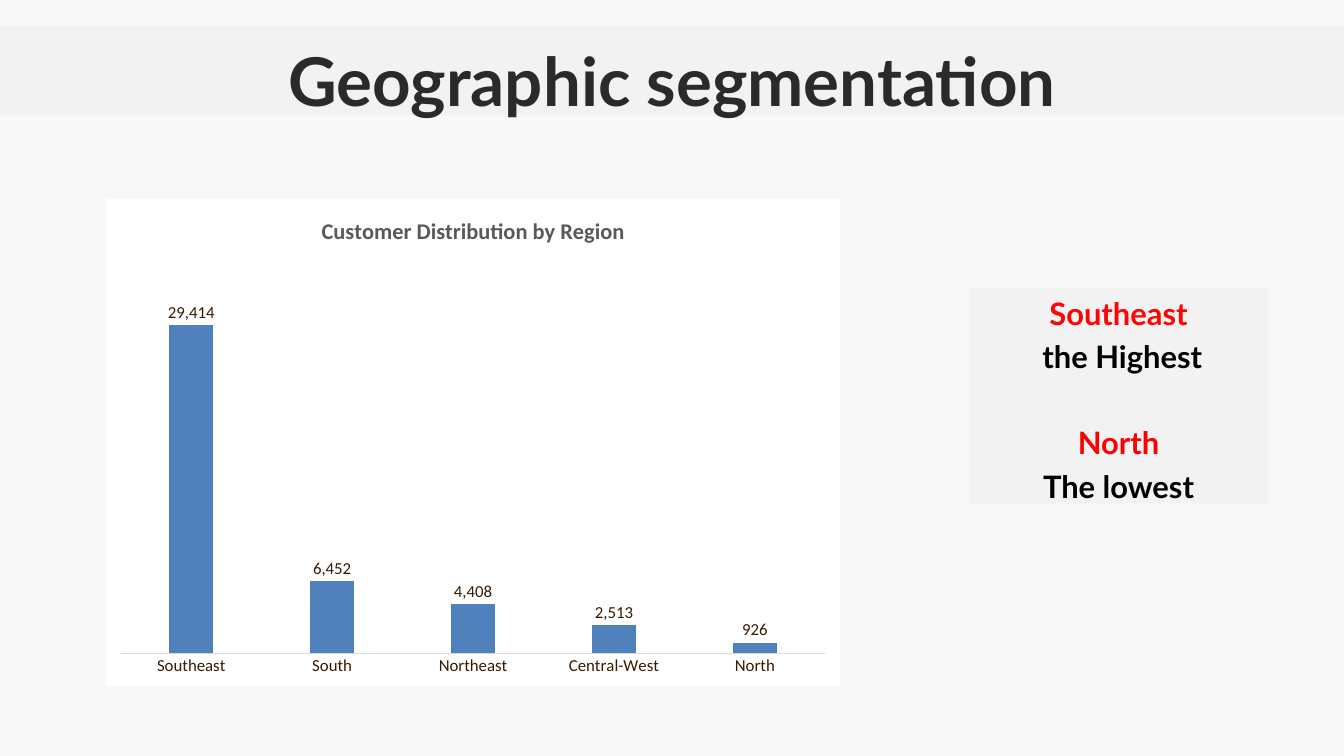
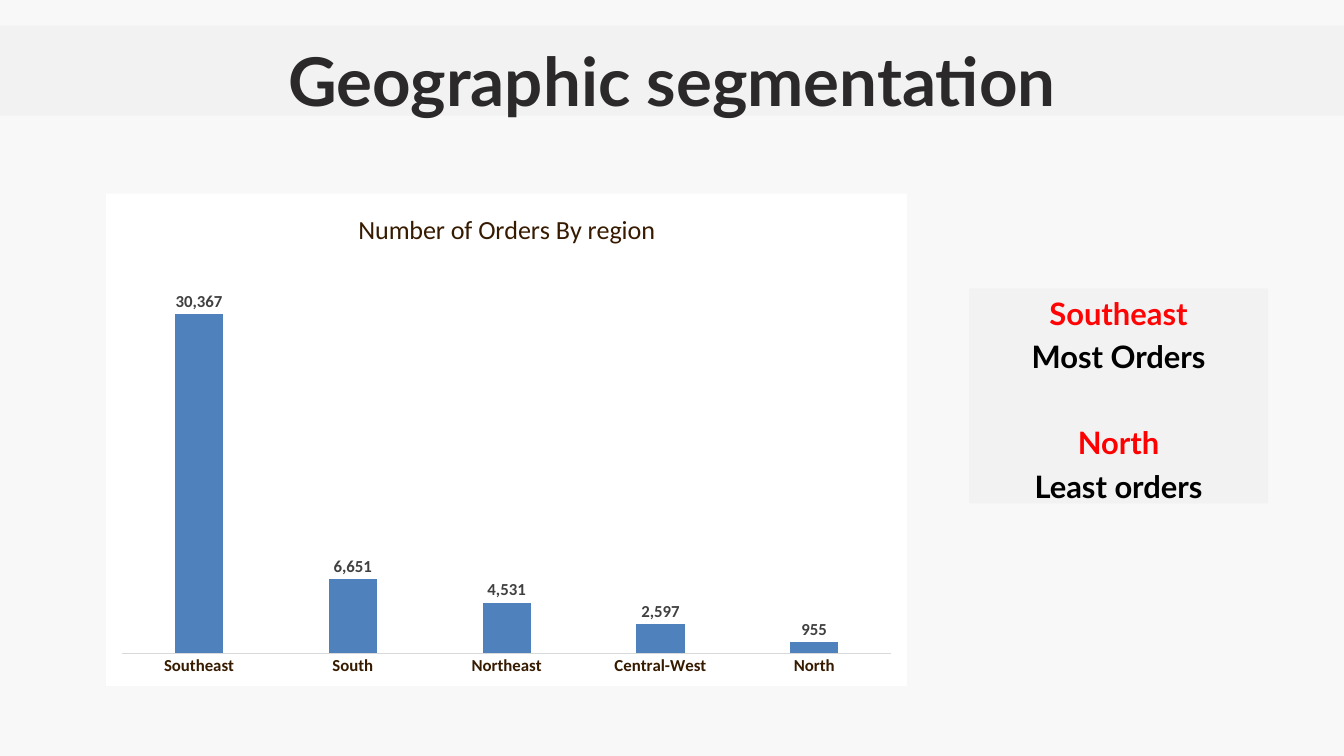
from dataclasses import dataclass

from lxml import etree
from pptx import Presentation
from pptx.chart.data import CategoryChartData
from pptx.dml.color import RGBColor
from pptx.enum.chart import XL_CHART_TYPE as ChartType
from pptx.enum.chart import XL_LABEL_POSITION as LabelPos
from pptx.enum.chart import XL_TICK_LABEL_POSITION as TickLabelPos
from pptx.enum.chart import XL_TICK_MARK as TickMark
from pptx.enum.shapes import MSO_SHAPE as Shape
from pptx.enum.text import MSO_ANCHOR as Anchor
from pptx.enum.text import PP_ALIGN as Align
from pptx.oxml.ns import qn
from pptx.util import Inches, Pt

# Shared style
PAGE, BAND, WHITE = "F8F8F8", "F2F2F2", "FFFFFF"
INK, BLACK, BROWN, GREY = "2B2929", "000000", "361B00", "404040"
BAR, AXIS = "4F81BD", "D9D9D9"
TEXT_FONT, CHART_FONT = "Lato", "Calibri"
TITLE = "Geographic segmentation"
REGIONS = ("Southeast", "South", "Northeast", "Central-West", "North")

# Both charts share a left edge, a bottom edge and the height of the bars
CHART_LEFT, CHART_BOTTOM = 1.58, 10.21
PLOT_TOP, PLOT_BOTTOM = 3.91, 9.72
PLOT_X, PLOT_W = 0.02, 0.96
AXIS_MAX = 35000


@dataclass
class Line:
    text: str
    color: str
    size: float
    leading: float
    before: float = 0


@dataclass
class Style:
    size: float
    color: str
    bold: bool = False


@dataclass
class RegionSlide:
    chart_title: str
    title_style: Style
    category_style: Style
    label_style: Style
    values: tuple[int, ...]
    top: float
    width: float
    highest: str
    lowest: str
    highest_color: str = "FF0404"
    lowest_color: str = "FF0000"


SLIDES = (
    RegionSlide(
        "Customer Distribution by Region",
        Style(24, "595959", True), Style(18, BROWN), Style(18, BROWN),
        (29414, 6452, 4408, 2513, 926),
        2.96, 10.92, " the Highest", "The lowest",
    ),
    RegionSlide(
        "Number of Orders By region",
        Style(28, BROWN), Style(18, BROWN, True), Style(18, GREY, True),
        (30367, 6651, 4531, 2597, 955),
        2.88, 11.92, "Most Orders", "Least orders",
    ),
)


def rgb(color: str) -> RGBColor:
    return RGBColor.from_string(color)


def fill(target, color: str) -> None:
    target.fill.solid()
    target.fill.fore_color.rgb = rgb(color)


def set_font(font, name: str, style: Style) -> None:
    font.name = name
    font.size = Pt(style.size)
    font.bold = style.bold
    font.color.rgb = rgb(style.color)


def add_panel(s, left: float, top: float, width: float, height: float,
              lines: list[Line]) -> None:
    """Draw a flat grey panel with centred bold lines."""
    sp = s.shapes.add_shape(Shape.RECTANGLE, Inches(left), Inches(top),
                            Inches(width), Inches(height))
    sp.shadow.inherit = False
    fill(sp, BAND)
    sp.line.fill.background()
    tf = sp.text_frame
    tf.word_wrap = True
    tf.vertical_anchor = Anchor.TOP
    tf.margin_left = tf.margin_right = tf.margin_top = tf.margin_bottom = 0
    for i, line in enumerate(lines):
        p = tf.add_paragraph() if i else tf.paragraphs[0]
        p.alignment = Align.CENTER
        p.line_spacing = Pt(line.leading)
        p.space_before = Pt(line.before)
        r = p.add_run()
        r.text = line.text
        set_font(r.font, TEXT_FONT, Style(line.size, line.color, True))


def fix_plot_area(chart, top: float, height: float) -> None:
    """Pin the inner plot area, given as fractions of the chart."""
    plot_area = chart.plots[0]._element.getparent()
    for old in plot_area.findall(qn("c:layout")):
        plot_area.remove(old)
    layout = etree.Element(qn("c:layout"))
    manual = etree.SubElement(layout, qn("c:manualLayout"))
    settings = (
        ("layoutTarget", "inner"), ("xMode", "edge"), ("yMode", "edge"),
        ("x", PLOT_X), ("y", (PLOT_TOP - top) / height),
        ("w", PLOT_W), ("h", (PLOT_BOTTOM - PLOT_TOP) / height),
    )
    for tag, value in settings:
        etree.SubElement(manual, qn(f"c:{tag}")).set("val", str(value))
    plot_area.insert(0, layout)


def fill_chart_area(chart, color: str) -> None:
    space = chart._chartSpace
    sp_pr = etree.Element(qn("c:spPr"))
    solid = etree.SubElement(sp_pr, qn("a:solidFill"))
    etree.SubElement(solid, qn("a:srgbClr")).set("val", color)
    etree.SubElement(etree.SubElement(sp_pr, qn("a:ln")), qn("a:noFill"))
    space.find(qn("c:chart")).addnext(sp_pr)


def add_region_chart(s, content: RegionSlide) -> None:
    data = CategoryChartData(number_format="#,##0")
    data.categories = REGIONS
    data.add_series("Series 1", content.values)
    height = CHART_BOTTOM - content.top
    chart = s.shapes.add_chart(
        ChartType.COLUMN_CLUSTERED, Inches(CHART_LEFT), Inches(content.top),
        Inches(content.width), Inches(height), data).chart
    set_font(chart.font, CHART_FONT, Style(10, BLACK))
    chart.has_legend = False
    fill_chart_area(chart, WHITE)
    fix_plot_area(chart, content.top, height)

    # Chart title
    chart.has_title = True
    chart.chart_title.include_in_layout = False
    r = chart.chart_title.text_frame.paragraphs[0].add_run()
    r.text = content.chart_title
    set_font(r.font, CHART_FONT, content.title_style)

    # Axes
    cat_axis, val_axis = chart.category_axis, chart.value_axis
    cat_axis.major_tick_mark = cat_axis.minor_tick_mark = TickMark.NONE
    cat_axis.tick_label_position = TickLabelPos.NEXT_TO_AXIS
    cat_axis.format.line.color.rgb = rgb(AXIS)
    cat_axis.format.line.width = Pt(0.75)
    set_font(cat_axis.tick_labels.font, CHART_FONT, content.category_style)
    val_axis.minimum_scale, val_axis.maximum_scale = 0, AXIS_MAX
    val_axis.has_major_gridlines = False
    val_axis.visible = False

    # Columns and value labels
    plot = chart.plots[0]
    plot.vary_by_categories = False
    plot.gap_width, plot.overlap = 219, -27
    fill(plot.series[0].format, BAR)
    labels = plot.series[0].data_labels
    labels.show_value = True
    labels.position = LabelPos.OUTSIDE_END
    labels.number_format = "#,##0"
    labels.number_format_is_linked = False
    set_font(labels.font, CHART_FONT, content.label_style)


def add_region_slide(prs, content: RegionSlide) -> None:
    s = prs.slides.add_slide(prs.slide_layouts[6])
    fill(s.background, PAGE)
    add_panel(s, 0, 0.38, 20, 1.34, [Line(TITLE, INK, 72, 100.8)])
    size, leading = 33.1, 46.3
    add_panel(s, 14.42, 4.29, 4.45, 3.2, [
        Line(REGIONS[0], content.highest_color, size, leading),
        Line(content.highest, BLACK, size, leading),
        Line(REGIONS[-1], content.lowest_color, size, leading, before=leading),
        Line(content.lowest, BLACK, size, leading),
    ])
    add_region_chart(s, content)


def main() -> None:
    prs = Presentation()
    prs.slide_width, prs.slide_height = Inches(20), Inches(11.25)
    for content in SLIDES:
        add_region_slide(prs, content)
    prs.save("out.pptx")


if __name__ == "__main__":
    main()
